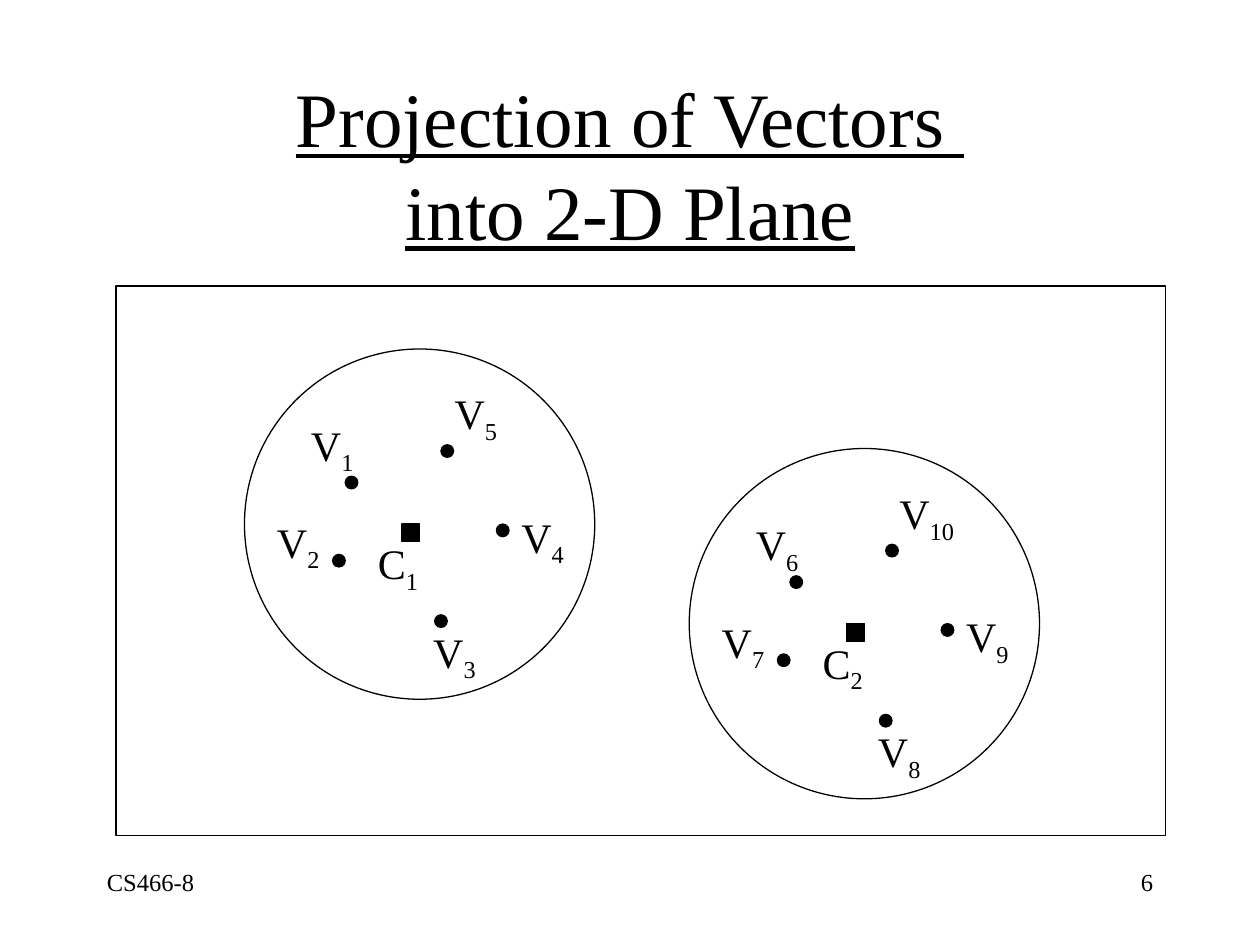
from pptx import Presentation
from pptx.dml.color import RGBColor
from pptx.enum import shapes, text
from pptx.util import Inches, Pt

BLACK = RGBColor(0, 0, 0)
FONT = "Times New Roman"
OVAL, RECT = shapes.MSO_SHAPE.OVAL, shapes.MSO_SHAPE.RECTANGLE
LEFT, MID, RIGHT = text.PP_ALIGN.LEFT, text.PP_ALIGN.CENTER, text.PP_ALIGN.RIGHT

TITLE = "Projection of Vectors \vinto 2-D Plane"
FRAME = (0.92, 2.27, 8.33, 4.36)
SIZE, DOT, BOX = 2.78, 0.1, 0.14

# Circle's left and top, centroid number, first vector number
GROUPS = [(1.94, 2.77, 1, 1), (5.47, 3.56, 2, 6)]

# Offsets from the circle's corner: dot, then label
VECTORS = [
    ((0.8, 1.01), (0.43, 0.51)),
    ((0.7, 1.63), (0.16, 1.28)),
    ((1.51, 2.11), (1.4, 2.15)),
    ((2.0, 1.39), (2.1, 1.24)),
    ((1.56, 0.76), (1.57, 0.26)),
]
CENTER = ((1.25, 1.39), (0.96, 1.45))

deck = Presentation()
deck.slide_width, deck.slide_height = Inches(10), Inches(7.5)
slide = deck.slides.add_slide(deck.slide_layouts[6])


def draw(kind, x, y, w, h, solid=False):
    shape = slide.shapes.add_shape(kind, *map(Inches, (x, y, w, h)))
    shape.shadow.inherit = False
    shape.line.color.rgb = BLACK
    shape.line.width = Pt(0.75)
    if solid:
        shape.fill.solid()
        shape.fill.fore_color.rgb = BLACK
    else:
        shape.fill.background()


def write(words, x, y, w, h, size=24, align=LEFT, sub="", under=None,
          grow=False, anchor=text.MSO_ANCHOR.TOP):
    """Add a text box; sub is a subscript, grow fits the box to one line."""
    frame = slide.shapes.add_textbox(*map(Inches, (x, y, w, h))).text_frame
    frame.word_wrap = not grow
    if grow:
        frame.auto_size = text.MSO_AUTO_SIZE.SHAPE_TO_FIT_TEXT
    frame.vertical_anchor = anchor
    para = frame.paragraphs[0]
    para.alignment = align
    para.text = words
    if sub:
        run = para.add_run()
        run.text = sub
        run.font._element.set("baseline", "-25000")
    for run in para.runs:
        font = run.font
        font.name, font.size, font.underline = FONT, Pt(size), under
        font.color.rgb = BLACK


def mark(kind, size, name, num, left, top, spots):
    """Draw a solid point with its subscripted label."""
    (px, py), (tx, ty) = spots
    draw(kind, left + px, top + py, size, size, solid=True)
    wide = 0.64 if num > 9 else 0.54
    write(name, left + tx, top + ty, wide, 0.56, sub=str(num), grow=True)


write(TITLE, 0.75, 0.67, 8.5, 1.25, size=44, align=MID, under=True,
      anchor=text.MSO_ANCHOR.MIDDLE)
for left, top, group, first in GROUPS:
    draw(OVAL, left, top, SIZE, SIZE)
    for num, spots in enumerate(VECTORS, first):
        mark(OVAL, DOT, "V", num, left, top, spots)
    mark(RECT, BOX, "C", group, left, top, CENTER)
draw(RECT, *FRAME)
write("6", 7.17, 6.83, 2.08, 0.5, size=14, align=RIGHT)
write("CS466-8", 0.75, 6.83, 2.08, 0.5, size=14)

deck.save("out.pptx")
